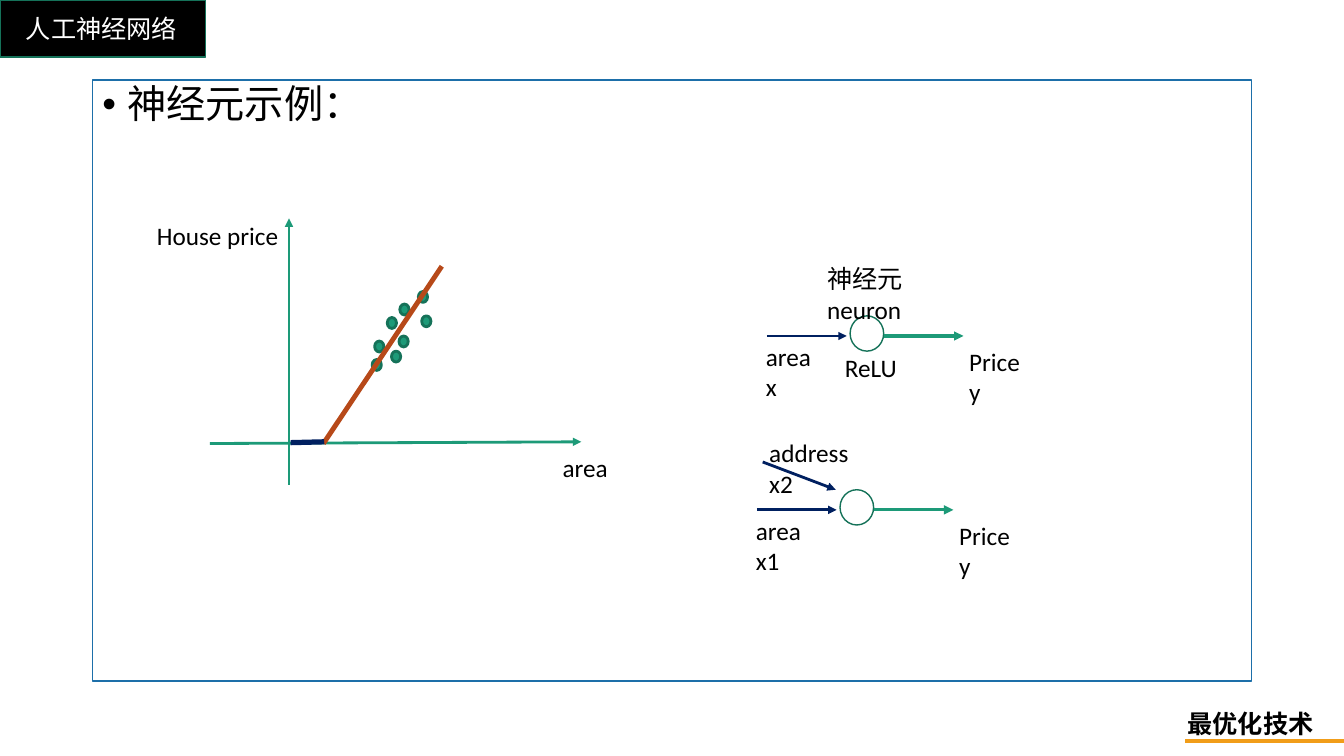
from dataclasses import dataclass

from lxml.etree import SubElement
from pptx import Presentation
from pptx.dml.color import RGBColor
from pptx.enum.shapes import MSO_CONNECTOR, MSO_SHAPE
from pptx.enum.text import MSO_ANCHOR, MSO_AUTO_SIZE, PP_ALIGN
from pptx.oxml.ns import qn
from pptx.util import Emu, Inches, Pt

# The slide is a grid of 160 columns by 90 rows
COLS, ROWS = 160, 90
UNIT = Inches(1) // 12


@dataclass(frozen=True)
class Theme:
    font: str = "Calibri"
    label: float = 18
    body: float = 28
    black: str = "000000"
    white: str = "FFFFFF"
    green: str = "1D9A78"
    dark_green: str = "157259"
    navy: str = "002060"
    rust: str = "B74919"
    orange: str = "F19D19"
    blue: str = "1D6FA9"


@dataclass(frozen=True)
class Box:
    x: float
    y: float
    w: float
    h: float

    def emu(self) -> list[Emu]:
        return [grid(v) for v in (self.x, self.y, self.w, self.h)]


@dataclass(frozen=True)
class Line:
    x1: float
    y1: float
    x2: float
    y2: float
    color: str
    width: float
    arrow: bool = False


@dataclass(frozen=True)
class Label:
    text: str
    box: Box
    color: str = Theme.black
    bold: bool = False
    wrap: bool = False


T = Theme()
LINE_H, TWO_LINES_H = 4.8, 8.5
DOT_W, DOT_H = 1.1, 1.3
HOUSES = [(46.1, 37.8), (47.6, 36.2), (47.5, 40), (44.6, 40.6),
          (46.6, 41.8), (50.2, 37.6), (44.3, 42.8), (49.8, 34.7)]
AXES = [Line(25, 52.8, 69.2, 52.6, T.green, 2, True),
        Line(34.4, 57.7, 34.4, 26, T.green, 2, True)]
FIT = [Line(38.5, 52.8, 52.6, 31.7, T.rust, 3.5),
       Line(34.6, 52.7, 38.6, 52.6, T.navy, 3.75)]
AXIS_LABELS = [Label("area", Box(65.8, 53.3, 7.8, LINE_H)),
               Label("House price", Box(17.5, 25.6, 17, LINE_H))]
NEURON_LABELS = [
    Label("神经元\vneuron", Box(97.3, 30.8, 20.4, TWO_LINES_H), wrap=True),
    Label("ReLU", Box(99.4, 41.4, 8.6, LINE_H))]


def grid(v: float) -> Emu:
    return Emu(round(v * UNIT))


def write(tf, text: str, *, size: float = T.label, color: str = T.black,
          bold: bool = False, wrap: bool = False) -> None:
    """Fill a text frame, one paragraph per line of text."""
    tf.word_wrap = wrap
    tf.text = text
    for p in tf.paragraphs:
        p.alignment = PP_ALIGN.LEFT
        for r in p.runs:
            r.font.name = T.font
            r.font.size = Pt(size)
            r.font.bold = bold
            r.font.color.rgb = RGBColor.from_string(color)


def add_label(s, label: Label) -> None:
    tf = s.shapes.add_textbox(*label.box.emu()).text_frame
    write(tf, label.text, color=label.color, bold=label.bold, wrap=label.wrap)
    tf.auto_size = MSO_AUTO_SIZE.SHAPE_TO_FIT_TEXT


def add_shape(s, kind: MSO_SHAPE, box: Box, line: str, width: float = 1,
              fill: str | None = None):
    sp = s.shapes.add_shape(kind, *box.emu())
    sp.shadow.inherit = False
    if fill:
        sp.fill.solid()
        sp.fill.fore_color.rgb = RGBColor.from_string(fill)
    else:
        sp.fill.background()
    sp.line.color.rgb = RGBColor.from_string(line)
    sp.line.width = Pt(width)
    return sp


def add_line(s, line: Line) -> None:
    ends = [grid(v) for v in (line.x1, line.y1, line.x2, line.y2)]
    cx = s.shapes.add_connector(MSO_CONNECTOR.STRAIGHT, *ends)
    cx.line.color.rgb = RGBColor.from_string(line.color)
    cx.line.width = Pt(line.width)
    if line.arrow:
        SubElement(cx.line._get_or_add_ln(), qn("a:tailEnd"), type="triangle")
    SubElement(cx._element.spPr, qn("a:effectLst"))


def add_frame(s) -> None:
    """Draw the header, the footer and the bordered body."""
    add_shape(s, MSO_SHAPE.RECTANGLE, Box(0, 0, 24.5, 6.8), T.dark_green,
              fill=T.black)
    add_label(s, Label("最优化技术", Box(140.2, 83.7, 17.5, LINE_H), bold=True))
    add_line(s, Line(141.1, 88.2, COLS, 88.2, T.orange, 2.5))
    add_label(s, Label("人工神经网络", Box(1.9, 1, 20.6, LINE_H), T.white))

    body = add_shape(s, MSO_SHAPE.RECTANGLE, Box(11, 9.5, 138, 71.6), T.blue)
    tf = body.text_frame
    tf.vertical_anchor = MSO_ANCHOR.TOP
    write(tf, "神经元示例：", size=T.body, wrap=True)
    p = tf.paragraphs[0]
    p.line_spacing = 0.9
    pPr = p._p.get_or_add_pPr()
    pPr.set("marL", str(Inches(0.25)))
    pPr.set("indent", str(-Inches(0.25)))
    SubElement(pPr, qn("a:buFont"), typeface="Arial")
    SubElement(pPr, qn("a:buChar"), char="•")


def add_house_plot(s) -> None:
    for axis in AXES:
        add_line(s, axis)
    for x, y in HOUSES:
        add_shape(s, MSO_SHAPE.OVAL, Box(x, y, DOT_W, DOT_H), T.dark_green, 2,
                  T.green)
    for label in AXIS_LABELS:
        add_label(s, label)
    for line in FIT:
        add_line(s, line)


def add_neuron(s, x: float, y: float, feature: str) -> None:
    """Draw a neuron whose input arrow starts at column x, row y."""
    add_shape(s, MSO_SHAPE.OVAL, Box(x + 9.9, y - 2.4, 4, 4.2), T.dark_green)
    add_line(s, Line(x, y, x + 9.5, y, T.navy, 2, True))
    add_label(s, Label(f"area\n{feature}", Box(x - 1.3, y, 7.8, TWO_LINES_H)))
    add_line(s, Line(x + 13.9, y, x + 23.4, y, T.green, 2.25, True))
    add_label(s, Label("Price\ny", Box(x + 22.9, y + 0.6, 8.5, TWO_LINES_H)))


def main() -> None:
    prs = Presentation()
    prs.slide_width, prs.slide_height = grid(COLS), grid(ROWS)
    s = prs.slides.add_slide(prs.slide_layouts[6])
    add_frame(s)
    add_house_plot(s)
    add_neuron(s, 91.3, 40, "x")
    add_neuron(s, 90.1, 60.7, "x1")
    add_line(s, Line(90.8, 55, 99.5, 58.3, T.navy, 2, True))
    add_label(s, Label("address\nx2", Box(90.4, 51.5, 12, TWO_LINES_H)))
    for label in NEURON_LABELS:
        add_label(s, label)
    prs.save("out.pptx")


if __name__ == "__main__":
    main()
